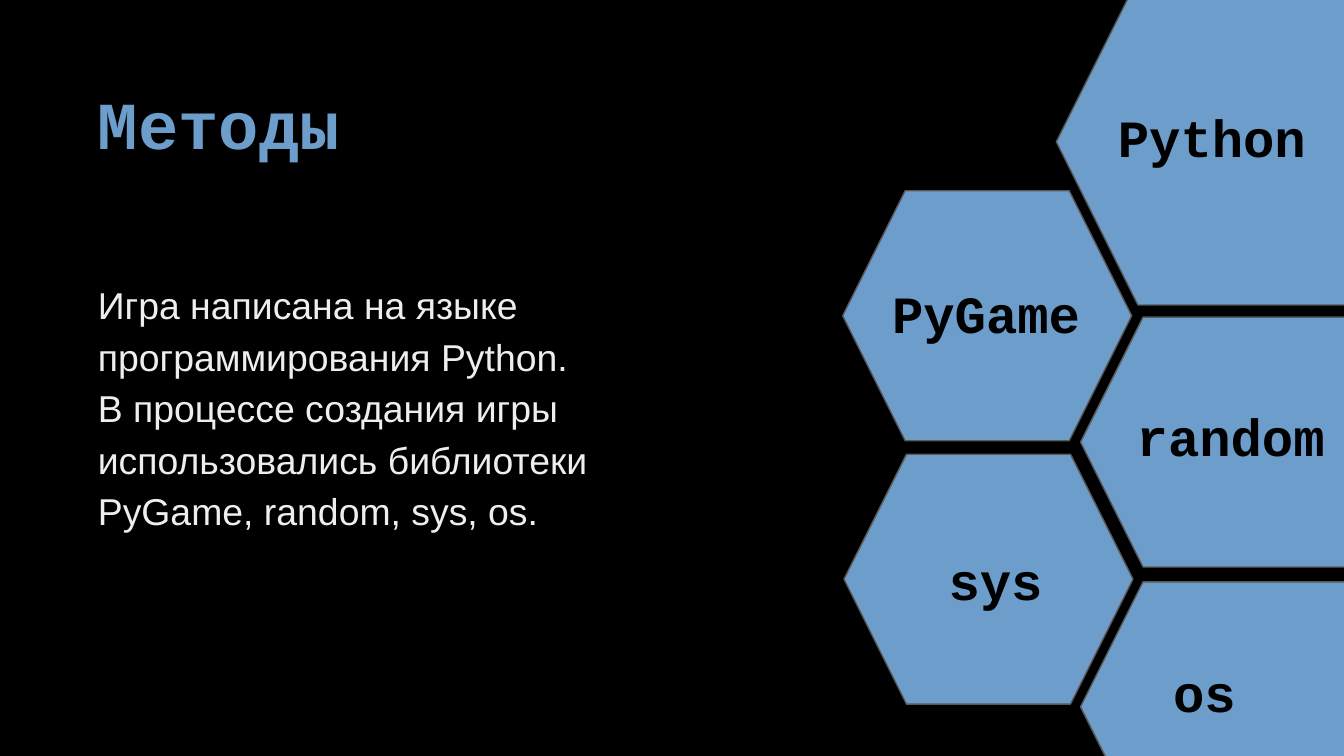
from pptx import Presentation
from pptx.dml.color import RGBColor
from pptx.enum.shapes import MSO_SHAPE
from pptx.util import Inches, Pt

THEME = {
    "background": RGBColor.from_string("000000"),
    "accent": RGBColor.from_string("6D9ECB"),
    "outline": RGBColor.from_string("595959"),
    "title": {"name": "Courier New", "size": Pt(36), "bold": True,
              "color": RGBColor.from_string("6D9ECB")},
    "body": {"name": "Arial", "size": Pt(20), "bold": False,
             "color": RGBColor.from_string("EEEEEE")},
    "label": {"name": "Courier New", "size": Pt(28), "bold": True,
              "color": RGBColor.from_string("000000")},
    "spacing": {"title": 1.0, "body": 1.15, "label": 1.0},
}

# Content: places are left, top, width, height in inches
TITLE = (["Методы"], (0.63, 0.51, 9.32, 0.63))
BODY = (
    [
        "Игра написана на языке",
        "программирования Python.",
        "В процессе создания игры",
        "использовались библиотеки",
        "PyGame, random, sys, os.",
    ],
    (0.63, 1.95, 5.36, 1.5),
)
# Label, hexagon place, label place
TOOLS = [
    ("PyGame", (6.27, 1.42, 2.15, 1.86), (6.54, 1.99, 1.77, 0.43)),
    ("sys", (6.28, 3.38, 2.15, 1.86), (6.96, 3.98, 1.77, 0.43)),
    ("random", (8.04, 2.36, 3.32, 1.86), (8.36, 2.91, 1.77, 0.43)),
    ("Python", (7.86, -0.16, 2.8, 2.43), (8.22, 0.68, 2.3, 0.56)),
    ("os", (8.04, 4.33, 2.8, 1.86), (8.63, 4.81, 1.77, 0.43)),
]


def add_text(page, lines, place, style):
    box = page.shapes.add_textbox(*map(Inches, place))
    frame = box.text_frame
    frame.word_wrap = True
    for side in ("left", "top", "right", "bottom"):
        setattr(frame, f"margin_{side}", Inches(0.1))
    for index, line in enumerate(lines):
        para = frame.paragraphs[0] if index == 0 else frame.add_paragraph()
        para.line_spacing = THEME["spacing"][style]
        span = para.add_run()
        span.text = line
        for name, value in THEME[style].items():
            if name == "color":
                span.font.color.rgb = value
            else:
                setattr(span.font, name, value)


def add_hexagon(page, place):
    hexagon = page.shapes.add_shape(MSO_SHAPE.HEXAGON, *map(Inches, place))
    hexagon.adjustments[0] = 0.25
    hexagon.shadow.inherit = False
    hexagon.fill.solid()
    hexagon.fill.fore_color.rgb = THEME["accent"]
    hexagon.line.color.rgb = THEME["outline"]
    hexagon.line.width = Pt(0.75)


def main():
    deck = Presentation()
    # 16:9 page
    deck.slide_width = Inches(10)
    deck.slide_height = deck.slide_width * 9 // 16
    page = deck.slides.add_slide(deck.slide_layouts[6])
    page.background.fill.solid()
    page.background.fill.fore_color.rgb = THEME["background"]

    # Title and description
    add_text(page, *TITLE, "title")
    add_text(page, *BODY, "body")

    # Honeycomb of tools
    for label, hexagon_place, label_place in TOOLS:
        add_hexagon(page, hexagon_place)
        add_text(page, [label], label_place, "label")

    deck.save("out.pptx")


if __name__ == "__main__":
    main()
